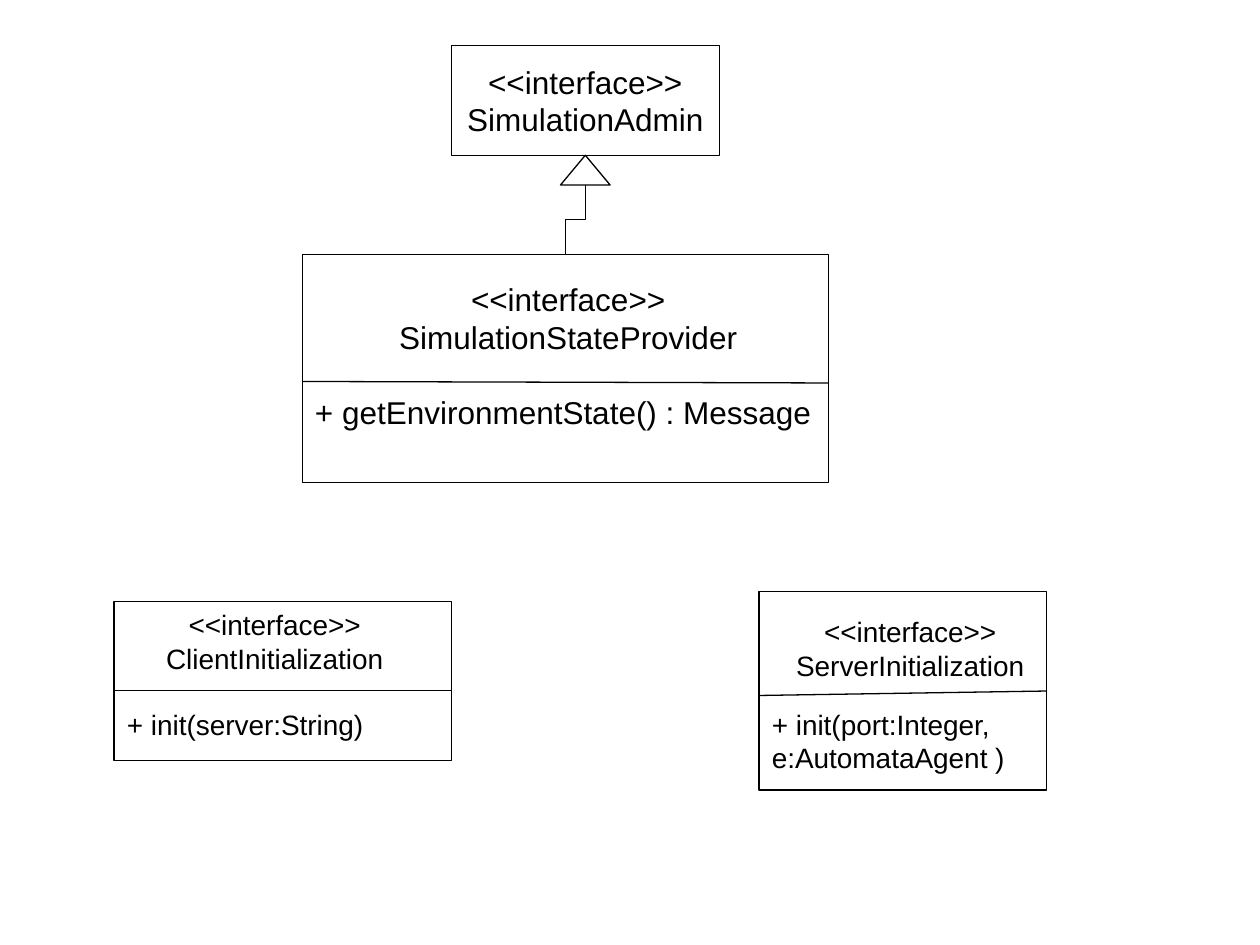
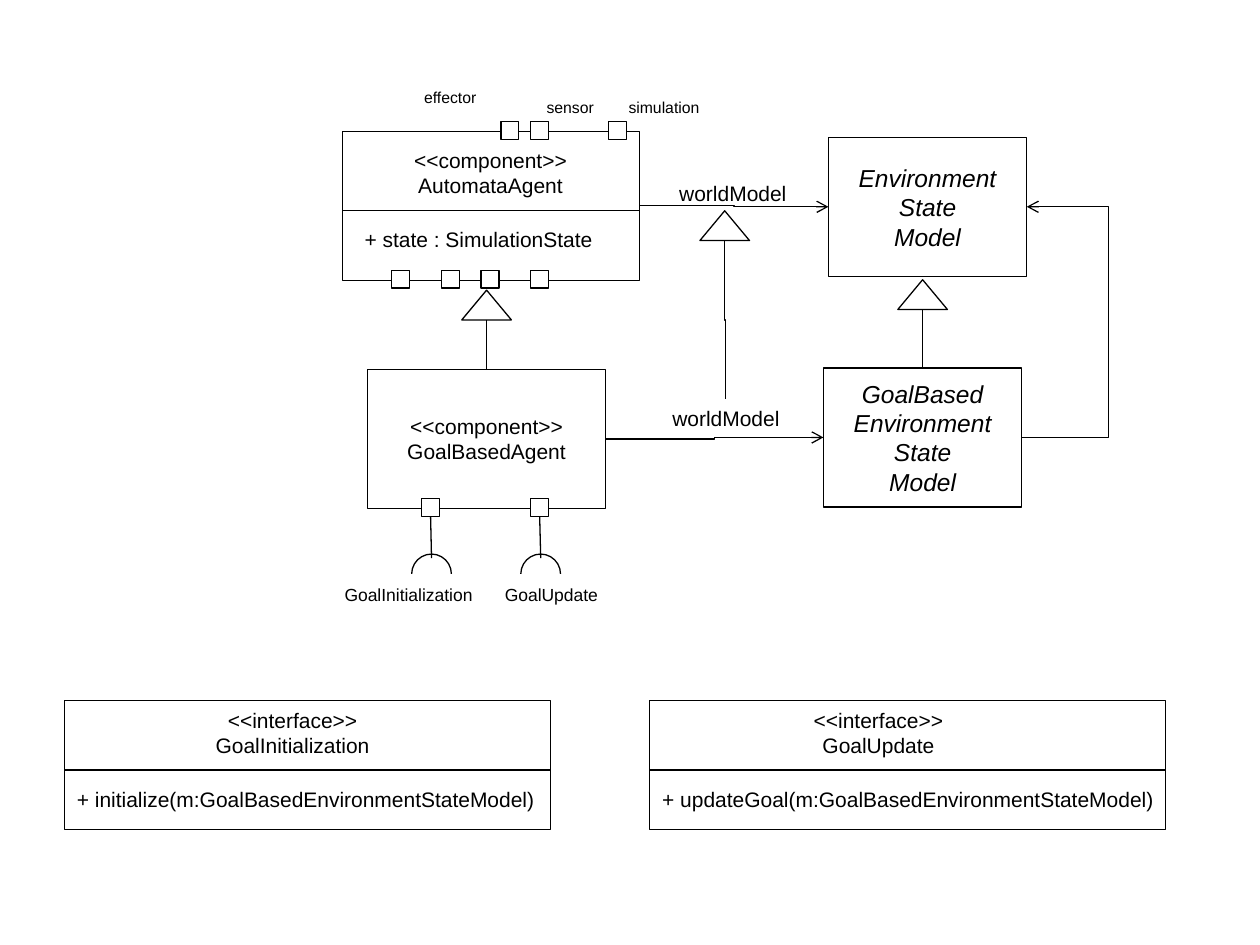
from dataclasses import dataclass
from lxml.etree import SubElement as Sub
from pptx import Presentation
from pptx.dml.color import RGBColor as Rgb
from pptx.enum.shapes import MSO_CONNECTOR as Link, MSO_SHAPE as Kind
from pptx.enum.text import MSO_ANCHOR as Anchor, MSO_AUTO_SIZE as Fit, PP_ALIGN as Align
from pptx.oxml.ns import qn
from pptx.util import Cm, Pt


@dataclass(frozen=True)
class Theme:
    """Colours, font and sizes shared by both slides."""
    ink: Rgb = Rgb(0, 0, 0)
    paper: Rgb = Rgb(255, 255, 255)
    font: str = "Arial"
    line: float = 0.75
    large: int = 18
    mid: int = 16
    model: int = 14
    small: int = 12
    role: int = 10
    port: int = 9


T = Theme()


def write(frame, lines, size, align=Align.CENTER, italic=False):
    """Fill a text frame with one paragraph per line."""
    frame.word_wrap = False
    for i, line in enumerate(lines):
        para = frame.paragraphs[0] if i == 0 else frame.add_paragraph()
        para.text = line
        para.alignment = align
        font = para.font
        font.name, font.size, font.italic = T.font, Pt(size), italic
        font.color.rgb = T.ink


def label(slide, lines, x, y, w, size, align=Align.CENTER):
    """Add unwrapped text as tall as its lines, with slack at the sides."""
    high = Pt(size * 1.2 * len(lines)) + Cm(0.25)
    frame = slide.shapes.add_textbox(Cm(x), Cm(y), Cm(w), high).text_frame
    frame.auto_size = Fit.SHAPE_TO_FIT_TEXT
    frame.margin_right = 0
    if align == Align.CENTER:
        frame.margin_left = 0
    write(frame, lines, size, align)


def shape(slide, kind, x, y, w, h):
    """Add a white outlined shape."""
    item = slide.shapes.add_shape(kind, Cm(x), Cm(y), Cm(w), Cm(h))
    item.shadow.inherit = False
    item.fill.solid()
    item.fill.fore_color.rgb = T.paper
    item.line.color.rgb = T.ink
    item.line.width = Pt(T.line)
    return item


def box(slide, area, lines=(), size=T.small, italic=False):
    """Add a rectangle with optional centred text."""
    item = shape(slide, Kind.RECTANGLE, *area)
    if lines:
        item.text_frame.vertical_anchor = Anchor.MIDDLE
        write(item.text_frame, lines, size, italic=italic)
    return item


def port(slide, x, y):
    """Add a small square port."""
    return box(slide, (x, y, 0.36, 0.36))


def tip(slide, x, y):
    """Add an inheritance triangle with its apex at x, y."""
    shape(slide, Kind.ISOSCELES_TRIANGLE, x - 0.5, y, 1, 0.6)


def link(slide, start, end, kind=Link.STRAIGHT):
    """Add a thin connector between two points."""
    item = slide.shapes.add_connector(kind, *map(Cm, start + end))
    item.line.color.rgb = T.ink
    item.line.width = Pt(T.line)
    Sub(item._element.spPr, qn("a:effectLst"))
    return item


def drop(slide, start, end):
    """Add an elbow that leaves and arrives vertically, going down."""
    (x1, y1), (x2, y2) = start, end
    wide, high = y2 - y1, abs(x2 - x1)
    left, top = (x1 + x2 - wide) / 2, (y1 + y2 - high) / 2
    item = link(slide, (left, top), (left + wide, top + high), Link.ELBOW)
    form = item._element.spPr.find(qn("a:xfrm"))
    form.set("rot", "5400000")
    if x2 > x1:
        form.set("flipV", "1")


def arrow(slide, first, side, last, goal, bend=None):
    """Join two boxes with an elbow arrow, bending at a given x."""
    item = link(slide, (0, 0), (1, 1), Link.ELBOW)
    item.begin_connect(first, side)
    item.end_connect(last, goal)
    props = item._element.spPr
    Sub(props.find(qn("a:ln")), qn("a:tailEnd"), type="arrow")
    if bend:
        part = (Cm(bend) - item.begin_x) / (item.end_x - item.begin_x)
        guides = props.find(qn("a:prstGeom")).find(qn("a:avLst"))
        Sub(guides, qn("a:gd"), name="adj1", fmla=f"val {round(part * 100000)}")


def entity(slide, area, head, spot, cut, body, place, size):
    """Add a UML box with a heading, a divider and members."""
    item = box(slide, area)
    label(slide, head, *spot, size)
    x, _, w, _ = area
    link(slide, (x, cut[0]), (x + w, cut[-1]))
    label(slide, body, *place, size, Align.LEFT)
    return item


def socket(slide, pin, x, name, left, wide):
    """Add a required-interface socket below a port."""
    arc = shape(slide, Kind.ARC, x - 0.4, 11.17, 0.8, 0.8)
    arc.fill.background()
    arc.adjustments[0] = 108
    arc.adjustments[1] = 0
    link(slide, (x, 10.41), (x, 11.25)).begin_connect(pin, 2)
    label(slide, [name], left, 11.65, wide, T.role)


def setup(slide):
    """Draw the simulation and initialization interfaces."""
    face = "<<interface>>"
    entity(slide, (6.1, 5.13, 10.6, 4.6), [face, "SimulationStateProvider"],
           (7.8, 5.53, 7.31), (7.69, 7.72),
           ["+ getEnvironmentState() : Message"], (6.1, 7.8, 10.52), T.large)
    entity(slide, (15.3, 11.93, 5.8, 4), [face, "ServerInitialization"],
           (15.8, 12.27, 5.1), (14.02, 13.93),
           ["+ init(port:Integer,", "e:AutomataAgent )"], (15.31, 14.13, 5.2), T.mid)
    entity(slide, (2.3, 12.13, 6.8, 3.2), [face, "ClientInitialization"],
           (3.1, 12.13, 4.88), (13.92,),
           ["+ init(server:String)"], (2.31, 14.13, 5.28), T.mid)
    box(slide, (9.1, 0.92, 5.4, 2.21), [face, "SimulationAdmin"], T.large)
    tip(slide, 11.8, 3.13)
    drop(slide, (11.8, 3.73), (11.4, 5.13))


def agents(slide):
    """Draw the agent components, their models and goal interfaces."""
    base = entity(slide, (6.9, 2.65, 6, 3), ["<<component>>", "AutomataAgent"],
                  (8.1, 2.85, 3.58), (4.25,),
                  ["+ state : SimulationState"], (7.1, 4.45, 5.11), T.small)
    for name, x, y, w in (("effector", 8.3, 1.65, 1.55), ("sensor", 10.77, 1.85, 1.45),
                          ("simulation", 12.42, 1.85, 1.93)):
        label(slide, [name], x, y, w, T.port)
    for y, row in ((2.45, (10.1, 10.7, 12.27)), (5.45, (7.9, 8.9, 9.7, 10.7))):
        for x in row:
            port(slide, x, y)

    agent = box(slide, (7.41, 7.45, 4.8, 2.8), ["<<component>>", "GoalBasedAgent"])
    words = ["Environment", "State", "Model"]
    world = box(slide, (16.7, 2.77, 4, 2.8), words, T.model, True)
    goal = box(slide, (16.6, 7.42, 4, 2.8), ["GoalBased"] + words, T.model, True)

    for child, x, y in ((agent, 9.81, 5.85), (goal, 18.6, 5.64)):
        tip(slide, x, y)
        link(slide, (x, y + 0.6), (x, 7.45)).end_connect(child, 0)
    arrow(slide, base, 3, world, 1)
    arrow(slide, agent, 3, goal, 1)
    arrow(slide, goal, 3, world, 3, 22.35)
    for x, y in ((13.44, 3.52), (13.3, 8.05)):
        label(slide, ["worldModel"], x, y, 2.67, T.small)
    tip(slide, 14.61, 4.25)
    drop(slide, (14.61, 4.85), (14.63, 8.05))

    for x, mid, name, left, wide in ((8.5, 8.7, "GoalInitialization", 6.7, 3.07),
                                     (10.7, 10.9, "GoalUpdate", 9.92, 2.39)):
        socket(slide, port(slide, x, 10.05), mid, name, left, wide)
    for x, w, name, left, wide, call in (
            (1.3, 9.8, "GoalInitialization", 4.1, 3.6, "initialize"),
            (13.1, 10.4, "GoalUpdate", 16.15, 3.12, "updateGoal")):
        entity(slide, (x, 14.12, w, 2.6), ["<<interface>>", name],
               (left, 14.13, wide), (15.52,),
               [f"+ {call}(m:GoalBasedEnvironmentStateModel)"],
               (x, 15.73, w), T.small)


def main():
    """Build and save both slides."""
    deck = Presentation()
    deck.slide_width, deck.slide_height = Cm(25.4), Cm(19.05)
    for draw in (setup, agents):
        draw(deck.slides.add_slide(deck.slide_layouts[6]))
    deck.save("out.pptx")


if __name__ == "__main__":
    main()
